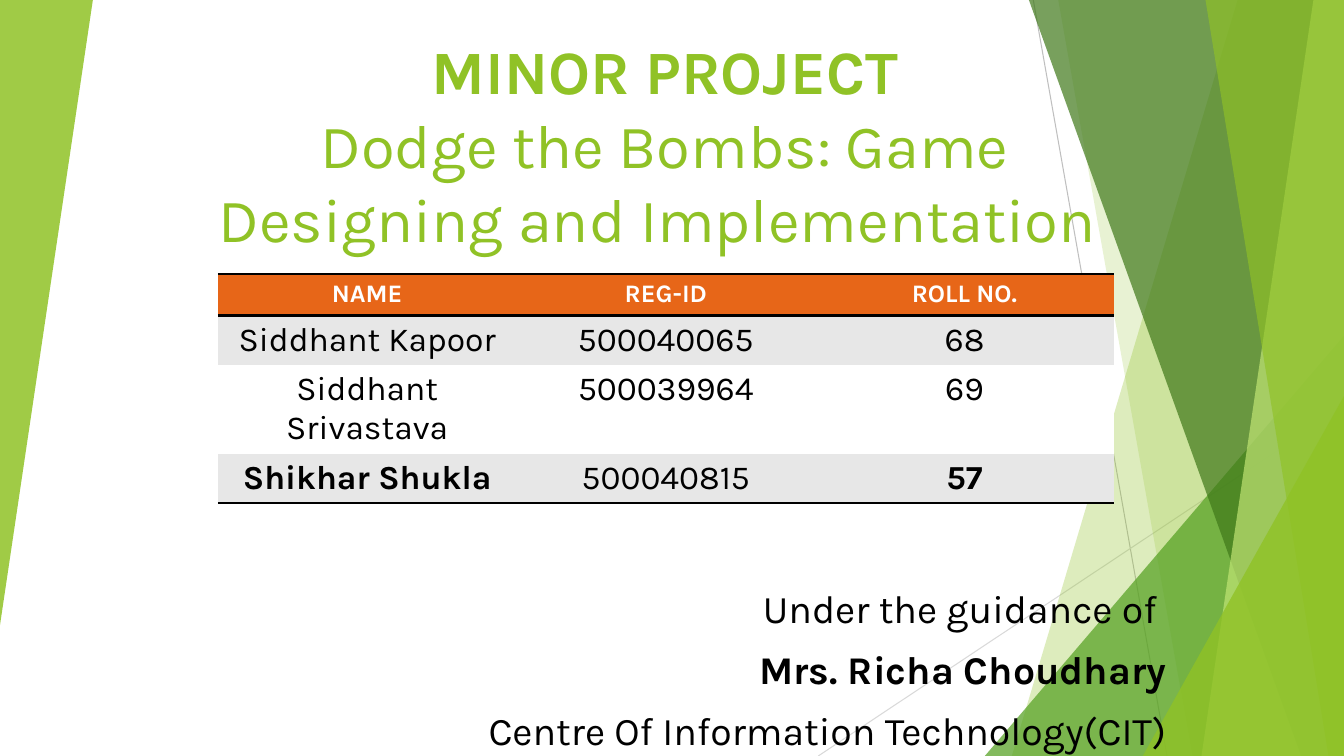
import lxml.etree
import pptx
import pptx.dml.color
import pptx.enum.shapes
import pptx.enum.text
import pptx.oxml
import pptx.oxml.ns
import pptx.util

Cm = pptx.util.Cm
Pt = pptx.util.Pt
RGBColor = pptx.dml.color.RGBColor
qn = pptx.oxml.ns.qn
MSO_SHAPE = pptx.enum.shapes.MSO_SHAPE
PP_ALIGN = pptx.enum.text.PP_ALIGN

LIME = RGBColor(0x90, 0xC2, 0x26)
PALE_LIME = RGBColor(0xC0, 0xE4, 0x74)
GREEN = RGBColor(0x54, 0xA0, 0x21)
DARK_GREEN = RGBColor(0x3F, 0x78, 0x19)
ORANGE = RGBColor(0xE7, 0x66, 0x18)
BAND_GREY = RGBColor(0xE7, 0xE7, 0xE7)
LINE_GREY = RGBColor(0xBF, 0xBF, 0xBF)
LIGHT_LINE_GREY = RGBColor(0xD9, 0xD9, 0xD9)
WHITE = RGBColor(0xFF, 0xFF, 0xFF)
BLACK = RGBColor(0, 0, 0)
FONT = "Karla"
WIDTH, HEIGHT = 33.87, 19.05


def style_paragraph(paragraph, size, colour, alignment, bold=None):
    paragraph.alignment = alignment
    paragraph.font.name = FONT
    paragraph.font.size = Pt(size)
    paragraph.font.color.rgb = colour
    paragraph.font.bold = bold


def fill_facet(shape, colour, opacity):
    shape.shadow.inherit = False
    shape.line.fill.background()
    shape.fill.solid()
    shape.fill.fore_color.rgb = colour
    colour_element = shape.fill._xPr.find(qn("a:solidFill"))[0]
    lxml.etree.SubElement(colour_element, qn("a:alpha"), val=str(opacity * 1000))


presentation = pptx.Presentation()
presentation.slide_width = Cm(WIDTH)
presentation.slide_height = Cm(HEIGHT)
slide = presentation.slides.add_slide(presentation.slide_layouts[0])
shapes = slide.shapes

rays = [
    (26.04, 0, 29.41, HEIGHT, LINE_GREY),
    (WIDTH, 10.24, 20.62, HEIGHT, LIGHT_LINE_GREY),
]
for start_x, start_y, end_x, end_y, colour in rays:
    ray = shapes.add_connector(
        pptx.enum.shapes.MSO_CONNECTOR.STRAIGHT,
        Cm(start_x), Cm(start_y), Cm(end_x), Cm(end_y),
    )
    ray.line.color.rgb = colour
    ray.line.width = Pt(0.75)
    lxml.etree.SubElement(ray.element.spPr, qn("a:effectLst"))

facets = [
    ("band", (31.19, 25.5), LIME, 30),
    ("band", (26.67, 30.05), LIME, 20),
    ("triangle", (24.82, 8.46, 9.05, 10.59, 0), GREEN, 72),
    ("band", (25.93, 32.79), DARK_GREEN, 70),
    ("band", (33.1, 30.28), PALE_LIME, 70),
    ("band", (30.38, 33.48), LIME, 65),
    ("triangle", (28.8, 9.98, 5.07, 9.07, 0), LIME, 80),
    ("triangle", (0, 0, 2.34, 15.75, 180), LIME, 85),
]
for kind, geometry, colour, opacity in facets:
    if kind == "band":
        top_x, bottom_x = geometry
        outline = shapes.build_freeform(Cm(top_x), 0)
        corners = [(WIDTH, 0), (WIDTH, HEIGHT), (bottom_x, HEIGHT)]
        outline.add_line_segments([(Cm(x), Cm(y)) for x, y in corners])
        facet = outline.convert_to_shape()
    else:
        left, top, width, height, rotation = geometry
        facet = shapes.add_shape(
            MSO_SHAPE.ISOSCELES_TRIANGLE, Cm(left), Cm(top), Cm(width), Cm(height)
        )
        facet.adjustments[0] = 1
        facet.rotation = rotation
    fill_facet(facet, colour, opacity)

title = shapes.title
subtitle = slide.placeholders[1]
for placeholder, left, top, height in [(title, 4.06, 0, 6.55), (subtitle, 4.24, 14.6, 4.4)]:
    placeholder.left, placeholder.top = Cm(left), Cm(top)
    placeholder.width, placeholder.height = Cm(25.4), Cm(height)
    placeholder.text_frame.auto_size = pptx.enum.text.MSO_AUTO_SIZE.NONE
    placeholder.text_frame.word_wrap = True
    placeholder.element.getparent().append(placeholder.element)

title.text_frame.vertical_anchor = pptx.enum.text.MSO_ANCHOR.BOTTOM
heading = title.text_frame.paragraphs[0]
style_paragraph(heading, 44, LIME, PP_ALIGN.CENTER)
project_run = heading.add_run()
project_run.text = "MINOR PROJECT"
project_run.font.bold = True
heading.add_line_break()
heading.add_run().text = "Dodge the Bombs: Game Designing and Implementation "
for run in heading.runs:
    run.font.size = Pt(44)

subtitle.text_frame.vertical_anchor = pptx.enum.text.MSO_ANCHOR.TOP
subtitle.text_frame.text = (
    "Under the guidance of \nMrs. Richa Choudhary\nCentre Of Information Technology(CIT)"
)
for index, paragraph in enumerate(subtitle.text_frame.paragraphs):
    style_paragraph(paragraph, 28, BLACK, PP_ALIGN.RIGHT, bold=index == 1)
    paragraph.space_before = Pt(10 if index else 0)

members = [
    ("NAME", "REG-ID", "ROLL NO."),
    ("Siddhant Kapoor", "500040065", "68"),
    ("Siddhant Srivastava", "500039964", "69"),
    ("Shikhar Shukla", "500040815", "57"),
]
bold_cells = {"Shikhar Shukla", "57", *members[0]}
row_fills = [ORANGE, BAND_GREY, WHITE, BAND_GREY]
row_heights = [1.04, 1.23, 2.24, 1.23]
row_borders = [("a:lnB", "a:lnT"), (), (), ("a:lnB",)]
table_frame = shapes.add_table(4, 3, Cm(5.49), Cm(6.91), Cm(22.58), Cm(sum(row_heights)))
table = table_frame.table
table.horz_banding = False
table._tbl.tblPr.find(qn("a:tableStyleId")).text = "{2D5ABB26-0587-4C30-8999-92F81FD0307C}"
for row_index, member in enumerate(members):
    table.rows[row_index].height = Cm(row_heights[row_index])
    for column_index, text in enumerate(member):
        cell = table.cell(row_index, column_index)
        cell.text = text
        cell.fill.solid()
        cell.fill.fore_color.rgb = row_fills[row_index]
        size, colour = (24, BLACK) if row_index else (18, WHITE)
        style_paragraph(
            cell.text_frame.paragraphs[0], size, colour, PP_ALIGN.CENTER, text in bold_cells
        )
        for side in row_borders[row_index]:
            border = lxml.etree.Element(qn(side), w=str(Pt(2)))
            border_fill = lxml.etree.SubElement(border, qn("a:solidFill"))
            lxml.etree.SubElement(border_fill, qn("a:srgbClr"), val=str(BLACK))
            cell._tc.tcPr.insert(0, border)

presentation.save("out.pptx")
